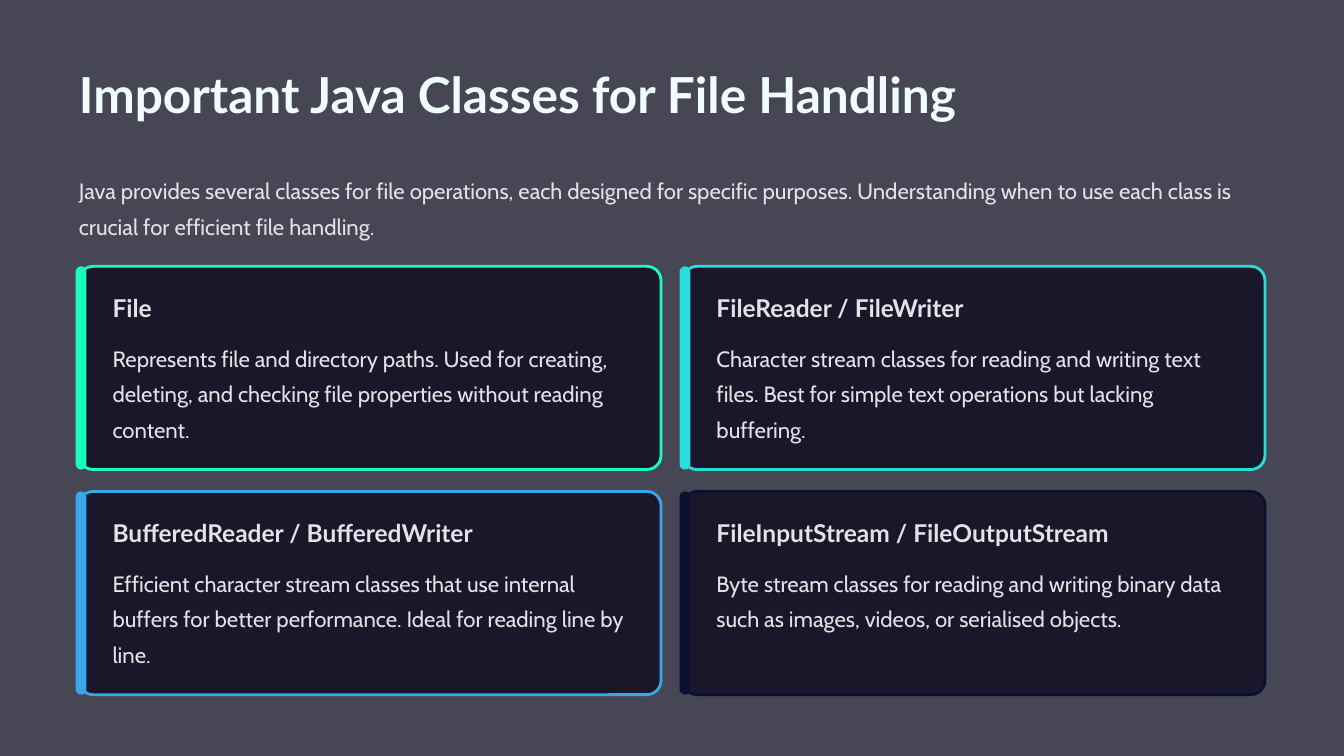
from lxml.etree import SubElement
from pptx import Presentation
from pptx.dml.color import RGBColor
from pptx.enum.shapes import MSO_SHAPE as Shape
from pptx.enum.text import MSO_ANCHOR as Anchor, MSO_AUTO_SIZE as AutoSize, PP_ALIGN as Align
from pptx.oxml.ns import qn
from pptx.util import Pt

EMU_PER_PX = 9144
COLOURS = {
    "background": "474654",
    "card": "0A081B",
    "title": "F0FCFF",
    "text": "E0E4E6",
    "green": "16FFBB",
    "teal": "29DDDA",
    "blue": "37A7E7",
    "navy": "091231",
}
STYLES = {
    "title": ("Lato", 42.5, 53, True, "title"),
    "heading": ("Lato", 21, 26.5, True, "text"),
    "body": ("Cabin", 19, 30.5, False, "text"),
}
INTRO = (
    "Java provides several classes for file operations, each designed for specific purposes. "
    "Understanding when to use each class is crucial for efficient file handling."
)
CARDS = [
    ("green", "File",
     "Represents file and directory paths. Used for creating, deleting, and checking "
     "file properties without reading content."),
    ("teal", "FileReader / FileWriter",
     "Character stream classes for reading and writing text files. Best for simple text "
     "operations but lacking buffering."),
    ("blue", "BufferedReader / BufferedWriter",
     "Efficient character stream classes that use internal buffers for better performance. "
     "Ideal for reading line by line."),
    ("navy", "FileInputStream / FileOutputStream",
     "Byte stream classes for reading and writing binary data such as images, videos, "
     "or serialised objects."),
]
LEFT, TOP = 94, 317
CARD_WIDTH, CARD_HEIGHT = 693, 242
COLUMN_STEP, ROW_STEP = 719, 268


def px(*lengths):
    return [length * EMU_PER_PX for length in lengths]


def rgb(name):
    return RGBColor.from_string(COLOURS[name])


class SlideBuilder:
    def __init__(self, presentation):
        self.slide = presentation.slides.add_slide(presentation.slide_layouts[5])
        fill = self.slide.background.fill
        fill.solid()
        fill.fore_color.rgb = rgb("background")

    def set_text(self, shape, text, style):
        font_name, size, spacing, bold, colour = STYLES[style]
        frame = shape.text_frame
        frame.margin_left = frame.margin_right = 0
        frame.margin_top = frame.margin_bottom = 0
        frame.word_wrap = True
        frame.auto_size = AutoSize.NONE
        frame.vertical_anchor = Anchor.TOP
        paragraph = frame.paragraphs[0]
        paragraph.alignment = Align.LEFT
        paragraph.line_spacing = Pt(spacing)
        run = paragraph.add_run()
        run.text = text
        run.font.name = font_name
        run.font.size = Pt(size)
        run.font.bold = bold
        run.font.color.rgb = rgb(colour)

    def title(self, text, *box):
        shape = self.slide.shapes.title
        shape.left, shape.top, shape.width, shape.height = px(*box)
        self.set_text(shape, text, "title")

    def text(self, text, style, *box):
        self.set_text(self.slide.shapes.add_textbox(*px(*box)), text, style)

    def rounded(self, fill, radius, *box, line=None, opacity=100):
        shape = self.slide.shapes.add_shape(Shape.ROUNDED_RECTANGLE, *px(*box))
        shape.shadow.inherit = False
        shape.adjustments[0] = radius
        shape.fill.solid()
        shape.fill.fore_color.rgb = rgb(fill)
        if opacity < 100:
            colour = shape.element.spPr.find(qn("a:solidFill"))[0]
            SubElement(colour, qn("a:alpha"), val=str(opacity * 1000))
        if line:
            shape.line.color.rgb = rgb(line)
            shape.line.width = Pt(2.4)
        else:
            shape.line.fill.background()

    def card(self, left, top, accent, heading, body):
        self.rounded("card", 0.07, left, top, CARD_WIDTH, CARD_HEIGHT, line=accent, opacity=75)
        self.rounded(accent, 0.5, left - 4, top, 13, CARD_HEIGHT)
        self.text(heading, "heading", left + 40, top + 30, 623, 37)
        self.text(body, "body", left + 40, top + 83, 623, 128)


def main():
    presentation = Presentation()
    presentation.slide_width, presentation.slide_height = px(1600, 900)
    builder = SlideBuilder(presentation)
    builder.title("Important Java Classes for File Handling", LEFT, 73, 1118, 74)
    builder.text(INTRO, "body", LEFT, 201, 1413, 86)
    for index, card in enumerate(CARDS):
        row, column = divmod(index, 2)
        builder.card(LEFT + column * COLUMN_STEP, TOP + row * ROW_STEP, *card)
    presentation.save("out.pptx")


if __name__ == "__main__":
    main()
